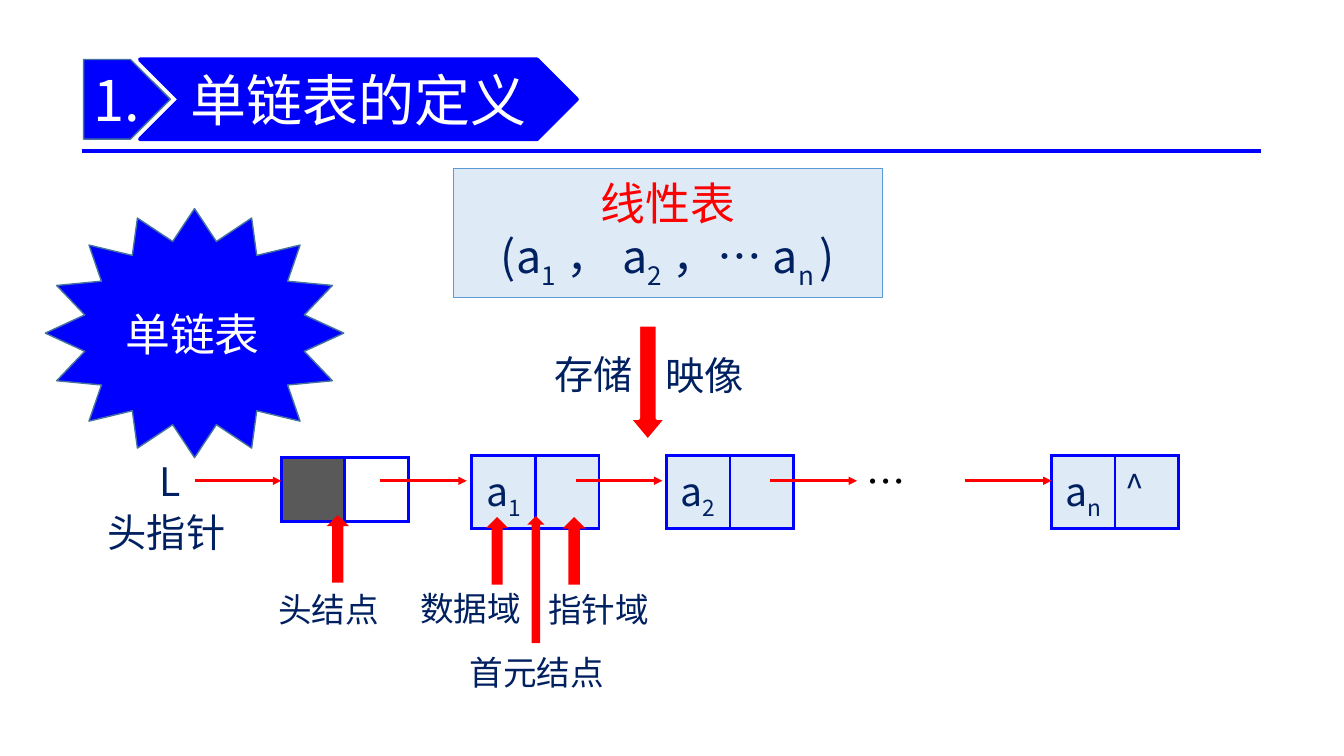
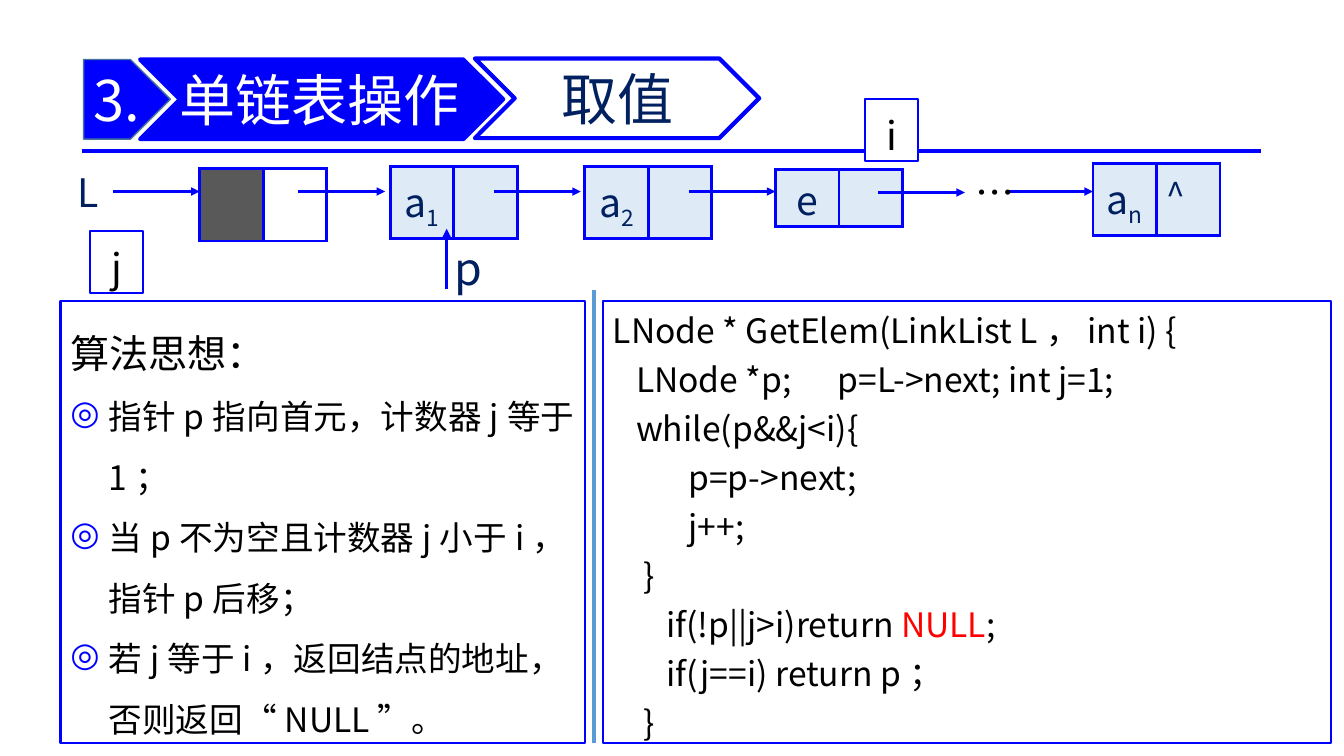
from lxml.etree import SubElement
from pptx import Presentation
from pptx.dml.color import RGBColor
from pptx.enum.shapes import MSO_CONNECTOR as LINE, MSO_SHAPE as SHAPE
from pptx.enum.text import MSO_ANCHOR as ANCHOR, PP_ALIGN as ALIGN
from pptx.oxml.ns import qn
from pptx.util import Emu, Pt

PX = 9144  # 100 px to the inch
FONT = "Noto Sans CJK SC"
COLORS = {
    "blue": "0000FF", "title": "0000FA", "navy": "002060", "pale": "DEEBF7",
    "sky": "5B9BD5", "edge": "43739E", "gray": "595959", "red": "FF0000",
    "white": "FFFFFF", "black": "000000",
}
NODE_W, NODE_H, ARROW_W = 126, 72, 86


def px(*lengths):
    return [Emu(n * PX) for n in lengths]


def rgb(name):
    return RGBColor.from_string(COLORS[name])


def subscript(run):
    run.font._element.set("baseline", "-25000")


def red(run):
    run.font.color.rgb = rgb("red")


class Deck:
    def __init__(self):
        self.prs = Presentation()
        self.prs.slide_width, self.prs.slide_height = px(1333, 750)
        self.s = None

    # Text: in a paragraph given as a tuple, every second part is styled by odd
    def put_text(self, tf, paras, size, color="navy", align=ALIGN.LEFT,
                 anchor=ANCHOR.MIDDLE, spacing=None, odd=subscript):
        tf.vertical_anchor = anchor
        for i, parts in enumerate(paras):
            p = tf.paragraphs[0] if i == 0 else tf.add_paragraph()
            p.alignment = align
            if spacing:
                p.line_spacing = spacing
            for j, part in enumerate((parts,) if isinstance(parts, str) else parts):
                r = p.add_run()
                r.text = part
                r.font.size, r.font.name = Pt(size), FONT
                r.font.color.rgb = rgb(color)
                SubElement(r.font._element, qn("a:ea"), typeface=FONT)
                if j % 2:
                    odd(r)

    def label(self, x, y, w, h, text, size=28, color="navy", anchor=ANCHOR.TOP):
        tf = self.s.shapes.add_textbox(*px(x, y, w, h)).text_frame
        tf.word_wrap = True
        self.put_text(tf, [text], size, color, anchor=anchor)

    # Shapes and lines
    def shape(self, kind, x, y, w, h, fill, line=None, width=1):
        sp = self.s.shapes.add_shape(kind, *px(x, y, w, h))
        sp.shadow.inherit = False
        sp.fill.solid()
        sp.fill.fore_color.rgb = rgb(fill)
        if line:
            sp.line.color.rgb, sp.line.width = rgb(line), Pt(width)
        else:
            sp.line.fill.background()
        return sp

    def line(self, x1, y1, x2, y2, color, width, arrow=False):
        c = self.s.shapes.add_connector(LINE.STRAIGHT, *px(x1, y1, x2, y2))
        c.line.color.rgb, c.line.width = rgb(color), Pt(width)
        if arrow:
            SubElement(c.line._get_or_add_ln(), qn("a:tailEnd"), type="triangle")
        SubElement(c._element.spPr, qn("a:effectLst"))

    def arrow(self, x, y, color):
        self.line(x, y, x + ARROW_W, y, color, 2, arrow=True)

    def up_arrow(self, x, y, w, h):
        self.shape(SHAPE.UP_ARROW, x, y, w, h, "red")

    def panel(self, x, y, w, h, paras, size, color="black", fill="white",
              line="blue", width=1.5, **style):
        sp = self.shape(SHAPE.RECTANGLE, x, y, w, h, fill, line, width)
        self.put_text(sp.text_frame, paras, size, color, **style)
        return sp.text_frame

    # List nodes
    def node(self, x, y, data=None, end=None, fills=("pale", "pale"), h=NODE_H):
        table = self.s.shapes.add_table(1, 2, *px(x, y, NODE_W, h)).table
        for col in table.columns:
            col.width = Emu(NODE_W * PX // 2)
        for cell, fill in zip(table.rows[0].cells, fills):
            tcPr = cell._tc.get_or_add_tcPr()
            for side in ("a:lnL", "a:lnR", "a:lnT", "a:lnB"):
                ln = SubElement(tcPr, qn(side), w=str(Pt(2.25)))
                solid = SubElement(ln, qn("a:solidFill"))
                SubElement(solid, qn("a:srgbClr"), val=COLORS["blue"])
            cell.fill.solid()
            cell.fill.fore_color.rgb = rgb(fill)
        if h < NODE_H:
            for cell in table.rows[0].cells:
                cell.margin_top = cell.margin_bottom = 0
        if data:
            cell = table.cell(0, 0)
            self.put_text(cell.text_frame, [data], 28, align=ALIGN.CENTER)
            cell.vertical_anchor = ANCHOR.MIDDLE
        if end:
            self.put_text(table.cell(0, 1).text_frame, [end], 24, anchor=ANCHOR.TOP)

    def linked_list(self, x, y, color, head_h, dots_x, last_x, last_y):
        self.label(x, y, 36, 57, "L")
        self.node(x + 131, y + 5, fills=("gray", "white"), h=head_h)
        self.node(x + 320, y + 3, ("a", "1"))
        self.node(x + 513, y + 3, ("a", "2"))
        self.node(last_x, last_y, ("a", "n"), "^")
        for start in (x + 45, x + 229, x + 423, x + 616, last_x - ARROW_W):
            self.arrow(start, y + 28, color)
        self.label(dots_x, y, 67, 57, "…", color="black")

    # Slide frame: rule, number tag, title band
    def slide(self, number, title, band_w, title_x):
        self.s = self.prs.slides.add_slide(self.prs.slide_layouts[6])
        self.line(81, 150, 1251, 150, "blue", 3)
        tag = self.shape(SHAPE.PENTAGON, 83, 59, 86, 79, "blue", "edge")
        self.put_text(tag.text_frame, [number], 40, "white")
        self.shape(SHAPE.CHEVRON, 139, 59, band_w, 79, "title", "blue", 3)
        self.label(title_x, 44, 368, 108, title, 40, "white", ANCHOR.MIDDLE)


def definition(d):
    d.slide("1.", "单链表的定义", 433, 179)

    # Linear list and its mapping to storage
    tf = d.panel(450, 167, 425, 128,
                 ["线性表", ("(a", "1", "，a", "2", "，…a", "n ", ")")], 32,
                 "navy", "pale", "sky", 0.5, align=ALIGN.CENTER)
    red(tf.paragraphs[0].runs[0])
    down = d.shape(SHAPE.DOWN_ARROW, 623, 322, 39, 116, "red", "white", 3)
    down.adjustments[1] = 0.6
    d.label(540, 343, 109, 57, "存储")
    d.label(650, 344, 109, 57, "映像")

    # Linked list with its parts named
    d.linked_list(148, 449, "red", 63, 850, 1043, 452)
    d.label(97, 499, 139, 57, "头指针")
    for x, y, w, text in ((266, 579, 127, "头结点"), (407, 578, 127, "数据域"),
                          (534, 579, 133, "指针域"), (456, 642, 156, "首元结点")):
        d.label(x, y, w, 50, text, 24)
    for x, y, w, h in ((324, 511, 22, 67), (482, 513, 22, 67),
                       (558, 513, 23, 67), (523, 512, 17, 126)):
        d.up_arrow(x, y, w, h)

    star = d.shape(SHAPE.STAR_16_POINT, 45, 207, 296, 247, "blue", "edge")
    d.put_text(star.text_frame, ["单链表"], 32, "white")


def get_value(d):
    d.slide("3.", "单链表操作", 360, 168)
    topic = d.shape(SHAPE.CHEVRON, 471, 58, 282, 79, "white", "blue", 3)
    d.put_text(topic.text_frame, ["取值"], 40, align=ALIGN.CENTER)

    # Algorithm idea
    tf = d.panel(60, 299, 520, 438, [
        "算法思想：",
        "指针p指向首元，计数器j等于1；",
        "当p不为空且计数器j小于i，指针p后移；",
        "若j等于i，返回结点的地址，否则返回“NULL”。",
    ], 24, spacing=1.5)
    tf.paragraphs[0].runs[0].font.size = Pt(28)
    for p in tf.paragraphs[1:]:
        pPr = p._p.get_or_add_pPr()
        pPr.set("marL", str(38 * PX))
        pPr.set("indent", str(-38 * PX))
        color = SubElement(pPr, qn("a:buClr"))
        SubElement(color, qn("a:srgbClr"), val=COLORS["blue"])
        SubElement(pPr, qn("a:buChar"), char="◎")

    # Code: left indent in px, then the line
    code = [
        (0, "LNode * GetElem(LinkList L，int i) {"),
        (23, "LNode *p;\tp=L->next; int j=1;"),
        (23, "while(p&&j<i){"),
        (75, "p=p->next;"),
        (75, "j++;"),
        (30, "}"),
        (53, ("if(!p||j>i)return ", "NULL", ";")),
        (53, "if(j==i) return p；"),
        (30, "}"),
    ]
    tf = d.panel(598, 299, 722, 438, [text for _, text in code], 24,
                 spacing=Pt(35), odd=red)
    for p, (indent, _) in zip(tf.paragraphs, code):
        pPr = p._p.get_or_add_pPr()
        pPr.set("marL", str(indent * PX))
        pPr.set("indent", "0")
        if "\t" in p.text:
            tabs = SubElement(pPr, qn("a:tabLst"))
            SubElement(tabs, qn("a:tab"), pos=str(200 * PX), algn="l")
    d.line(589, 288, 589, 737, "sky", 3)

    # Linked list with the pointer p
    d.linked_list(67, 162, "blue", NODE_H, 958, 1084, 162)
    d.node(769, 168, "e", h=57)
    d.arrow(871, 191, "blue")
    d.line(443, 287, 443, 227, "blue", 2, arrow=True)
    d.label(441, 234, 49, 64, "p", 32)

    # Counters
    for x, y, name in ((858, 98, "i"), (89, 229, "j")):
        d.panel(x, y, 53, 62, [name], 28, align=ALIGN.CENTER, spacing=1.2)


def main():
    d = Deck()
    definition(d)
    get_value(d)
    d.prs.save("out.pptx")


if __name__ == "__main__":
    main()
